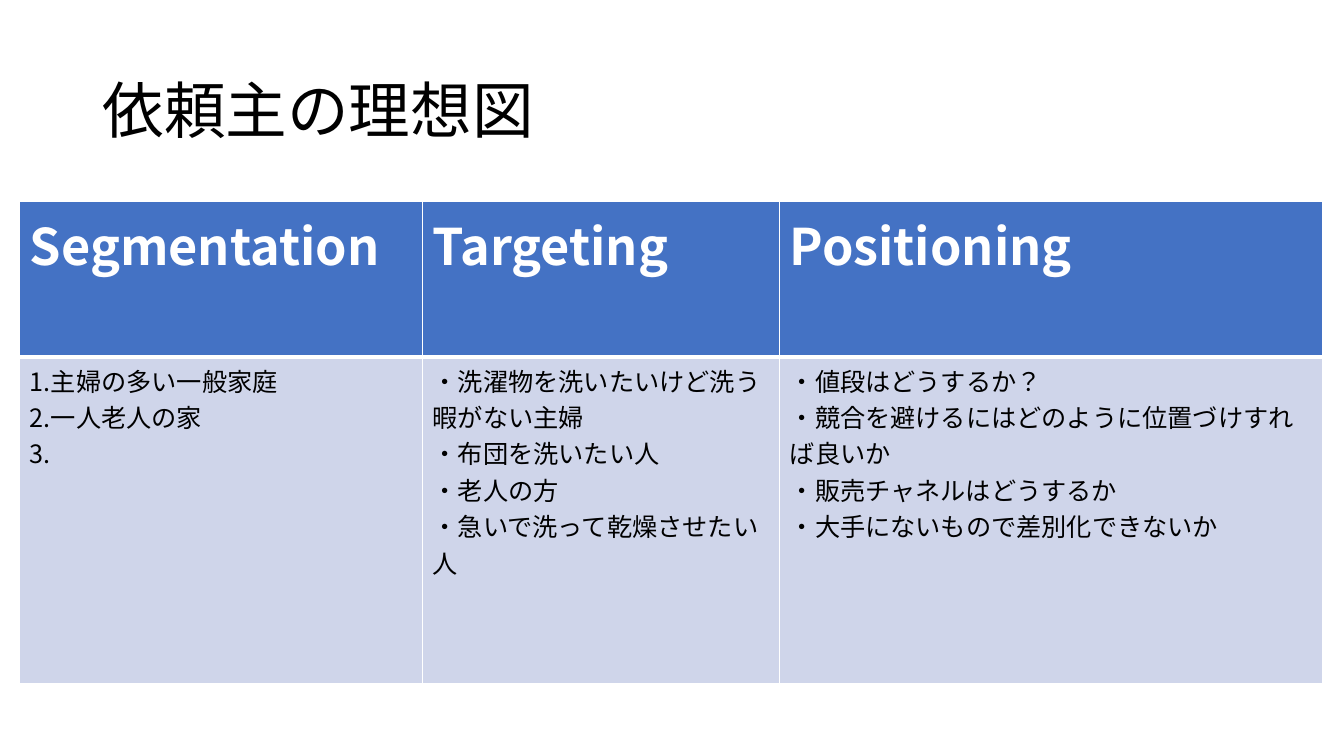
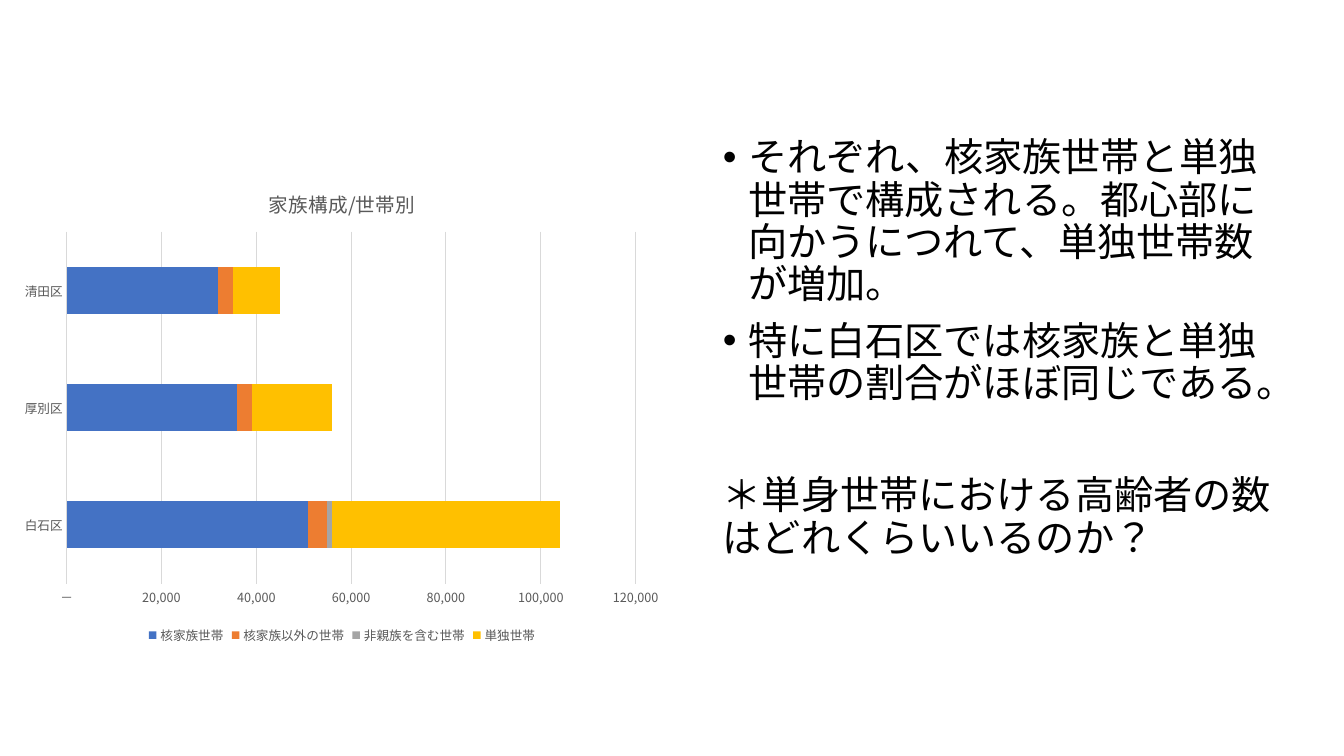
from lxml.etree import SubElement
from pptx import Presentation
from pptx.chart.data import CategoryChartData
from pptx.dml.color import RGBColor
from pptx.enum.chart import XL_CHART_TYPE, XL_LEGEND_POSITION, XL_TICK_MARK
from pptx.enum.lang import MSO_LANGUAGE_ID as Lang
from pptx.enum.text import MSO_ANCHOR, MSO_AUTO_SIZE, PP_ALIGN
from pptx.oxml import parse_xml
from pptx.oxml.ns import nsdecls, qn
from pptx.util import Cm, Pt

# Content
IDEAL_TITLE = "依頼主の理想図"
STP_COLUMNS = [
    ("Segmentation", 10.15, ["1.主婦の多い一般家庭", "2.一人老人の家", "3."]),
    ("Targeting", 9.0, ["・洗濯物を洗いたいけど洗う暇がない主婦", "・布団を洗いたい人",
                        "・老人の方", "・急いで洗って乾燥させたい人"]),
    ("Positioning", 13.68, ["・値段はどうするか？",
                            "・競合を避けるにはどのように位置づけすれば良いか",
                            "・販売チャネルはどうするか",
                            "・大手にないもので差別化できないか"]),
]
FINDINGS = [
    "それぞれ、核家族世帯と単独世帯で構成される。都心部に向かうにつれて、単独世帯数が増加。",
    "特に白石区では核家族と単独世帯の割合がほぼ同じである。",
]
QUESTION = "＊単身世帯における高齢者の数はどれくらいいるのか？"
CHART_TITLE = "家族構成/世帯別"
WARDS = ["白石区", "厚別区", "清田区"]
HOUSEHOLDS = [
    ("核家族世帯", "blue", (51000, 36000, 32000)),
    ("核家族以外の世帯", "orange", (4000, 3000, 3000)),
    ("非親族を含む世帯", "gray", (1000, 0, 0)),
    ("単独世帯", "gold", (48000, 17000, 10000)),
]
COUNT_FORMAT = '#,##0;"△"#,##0;"－"'

# Shared style
FONT = "Noto Sans CJK JP"
COLORS = {"black": "000000", "white": "FFFFFF", "blue": "4472C4",
          "pale": "CFD5EA", "orange": "ED7D31", "gray": "A5A5A5",
          "gold": "FFC000", "label": "595959", "grid": "D9D9D9"}


def color(name):
    return RGBColor.from_string(COLORS[name])


def format_font(font, size, tone="black", bold=False):
    font.name, font.size, font.bold = FONT, Pt(size), bold
    font.color.rgb = color(tone)


def write(frame, lines, size, tone="black", bold=False, spacing=1.0, before=0,
          align=PP_ALIGN.LEFT):
    """Fill a text frame with one paragraph a line and return the paragraphs."""
    for index, line in enumerate(lines):
        paragraph = frame.add_paragraph() if index else frame.paragraphs[0]
        paragraph.alignment = align
        paragraph.line_spacing = spacing
        paragraph.space_before = Pt(before)
        run = paragraph.add_run()
        run.text = line
        run.font.language_id = Lang.JAPANESE
        format_font(run.font, size, tone, bold)
    return frame.paragraphs


def use_east_asian_font(root):
    for latin in list(root.iter(qn("a:latin"))):
        latin.addnext(parse_xml(f'<a:ea {nsdecls("a")} typeface="{FONT}"/>'))


def place(part, left, top, width, height):
    part.left, part.top, part.width, part.height = map(Cm, (left, top, width, height))


def set_bullet(paragraph, char=None, indent=0):
    properties = paragraph._p.get_or_add_pPr()
    properties.set("marL", str(Cm(indent)))
    properties.set("indent", str(-Cm(indent)))
    if char:
        SubElement(properties, qn("a:buFont"), typeface="Arial")
        SubElement(properties, qn("a:buChar"), char=char)
    else:
        SubElement(properties, qn("a:buNone"))


def border_cell(cell, **widths):
    properties = cell._tc.get_or_add_tcPr()
    for side in "LRTB":
        properties.append(parse_xml(
            f'<a:ln{side} {nsdecls("a")} w="{Pt(widths.get(side, 1))}"><a:solidFill>'
            f'<a:srgbClr val="{COLORS["white"]}"/></a:solidFill></a:ln{side}>'))


def fill_cell(cell, tone):
    cell.fill.solid()
    cell.fill.fore_color.rgb = color(tone)


def add_ideal_slide(prs):
    slide = prs.slides.add_slide(prs.slide_layouts[5])
    title = slide.shapes.title
    place(title, 2.33, 1.02, 29.21, 3.68)
    title.text_frame.vertical_anchor = MSO_ANCHOR.MIDDLE
    write(title.text_frame, [IDEAL_TITLE], 44, spacing=0.9)

    # Segmentation, targeting and positioning table
    heights = (3.91, 8.23)
    total_width = sum(width for _, width, _ in STP_COLUMNS)
    table = slide.shapes.add_table(2, len(STP_COLUMNS), Cm(0.5), Cm(5.08),
                                   Cm(total_width), Cm(sum(heights))).table
    for row, height in zip(table.rows, heights):
        row.height = Cm(height)
    for index, (heading, width, points) in enumerate(STP_COLUMNS):
        table.columns[index].width = Cm(width)
        head, body = table.cell(0, index), table.cell(1, index)
        border_cell(head, B=3)
        border_cell(body, T=3)
        fill_cell(head, "blue")
        fill_cell(body, "pale")
        write(head.text_frame, [heading], 36, "white", bold=True)
        write(body.text_frame, points, 18)
    use_east_asian_font(slide.element)


def add_household_chart(slide):
    width, height = 16.64, 12.09
    data = CategoryChartData(number_format=COUNT_FORMAT)
    data.categories = WARDS
    for name, _, values in HOUSEHOLDS:
        data.add_series(name, values)
    chart = slide.shapes.add_chart(XL_CHART_TYPE.BAR_STACKED, Cm(0.3), Cm(4.24),
                                   Cm(width), Cm(height), data).chart
    format_font(chart.font, 10)
    chart.has_title = True
    write(chart.chart_title.text_frame, [CHART_TITLE], 14, "label",
          align=PP_ALIGN.CENTER)
    chart.has_legend = True
    chart.legend.position = XL_LEGEND_POSITION.BOTTOM
    chart.legend.include_in_layout = False
    format_font(chart.legend.font, 9, "label")

    # Bars
    plot = chart.plots[0]
    plot.gap_width, plot.overlap, plot.vary_by_categories = 150, 100, False
    for series, (_, tone, _) in zip(plot.series, HOUSEHOLDS):
        series.format.fill.solid()
        series.format.fill.fore_color.rgb = color(tone)

    # Axes
    wards, counts = chart.category_axis, chart.value_axis
    for axis in (wards, counts):
        axis.major_tick_mark = axis.minor_tick_mark = XL_TICK_MARK.NONE
        format_font(axis.tick_labels.font, 9, "label")
    counts.minimum_scale, counts.maximum_scale, counts.major_unit = 0, 120000, 20000
    counts.tick_labels.number_format = COUNT_FORMAT
    counts.tick_labels.number_format_is_linked = False
    counts.format.line.fill.background()
    for line in (wards.format.line, counts.major_gridlines.format.line):
        line.color.rgb = color("grid")
        line.width = Pt(0.75)

    # Fixed plot area, as fractions of the chart
    plot_area = plot._element.getparent()
    for layout in plot_area.findall(qn("c:layout")):
        plot_area.remove(layout)
    fractions = {"x": 1.38 / width, "y": 1.6 / height,
                 "w": 14.34 / width, "h": 8.87 / height}
    parts = "".join(f'<c:{key} val="{value}"/>' for key, value in fractions.items())
    plot_area.insert(0, parse_xml(
        f'<c:layout {nsdecls("c")}><c:manualLayout><c:layoutTarget val="inner"/>'
        f'<c:xMode val="edge"/><c:yMode val="edge"/>{parts}</c:manualLayout></c:layout>'))
    use_east_asian_font(chart._chartSpace)


def add_household_slide(prs):
    slide = prs.slides.add_slide(prs.slide_layouts[1])
    unused_title = slide.shapes.title.element
    unused_title.getparent().remove(unused_title)

    # Findings, then a question set apart
    body = slide.placeholders[1]
    place(body, 17.96, 3.35, 14.66, 13.79)
    body.text_frame.auto_size = MSO_AUTO_SIZE.NONE
    *findings, question = write(body.text_frame, FINDINGS + [QUESTION], 28,
                                spacing=0.9, before=10)
    for finding in findings:
        set_bullet(finding, "•", 0.64)
    question.space_before = Pt(50)
    set_bullet(question)
    use_east_asian_font(slide.element)
    add_household_chart(slide)


def main():
    prs = Presentation()
    prs.slide_width, prs.slide_height = Cm(33.87), Cm(19.05)
    add_ideal_slide(prs)
    add_household_slide(prs)
    prs.save("out.pptx")


if __name__ == "__main__":
    main()
